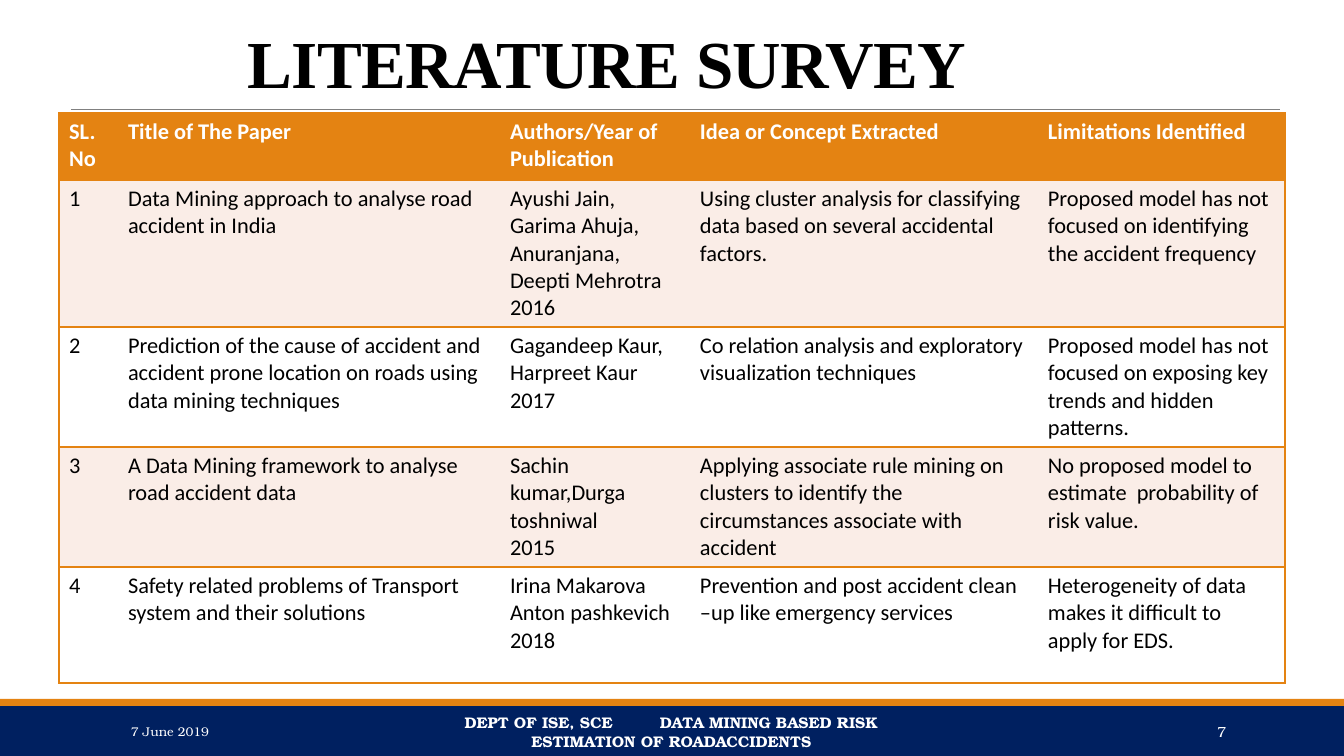
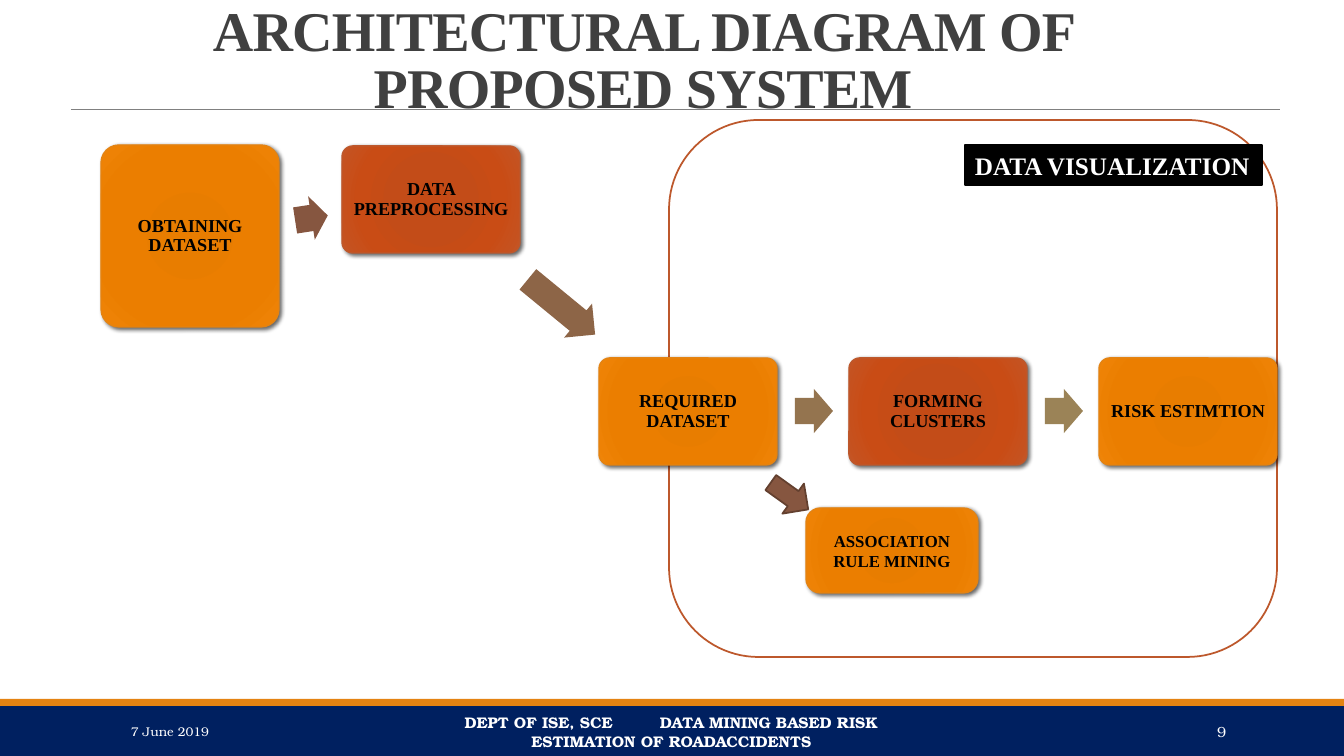
from dataclasses import dataclass

import lxml.etree
import pptx
import pptx.dml.color
import pptx.enum.shapes
import pptx.enum.text
import pptx.oxml.ns
import pptx.util

RGB = pptx.dml.color.RGBColor
Pt = pptx.util.Pt
Kind = pptx.enum.shapes.MSO_SHAPE
Align = pptx.enum.text.PP_ALIGN
Anchor = pptx.enum.text.MSO_ANCHOR
Fit = pptx.enum.text.MSO_AUTO_SIZE
qn = pptx.oxml.ns.qn

NAVY = RGB(0x00, 0x20, 0x60)
ORANGE = RGB(0xE4, 0x83, 0x12)
RUST = RGB(0xBD, 0x58, 0x2C)
BROWN = RGB(0x86, 0x56, 0x40)
UMBER = RGB(0x63, 0x40, 0x2F)
COCOA = RGB(0x8D, 0x65, 0x47)
TAN = RGB(0x94, 0x74, 0x4F)
OLIVE = RGB(0x9B, 0x83, 0x57)
PINK = RGB(0xFA, 0xED, 0xE7)
GRAY = RGB(0x80, 0x80, 0x80)
DARK = RGB(0x40, 0x40, 0x40)
BLACK = RGB(0, 0, 0)
WHITE = RGB(0xFF, 0xFF, 0xFF)

SERIF = "Times New Roman"
SANS = "Calibri"
BOOK = "TeX Gyre Bonum"
SCALE = 914400 / 100.8
WIDE, HIGH = 1344, 756
STOPS = (0, 34, 70, 100)
GLOW = {
    ORANGE: ("E57B00", "E87D00", "EB7E00", "EF8407"),
    RUST: ("C44A15", "C34C18", "C94C15", "C45525"),
}


@dataclass(frozen=True)
class Rect:
    x: int
    y: int
    w: int
    h: int

    def emu(self) -> list[int]:
        return [px(n) for n in (self.x, self.y, self.w, self.h)]


@dataclass(frozen=True)
class Type:
    face: str
    size: float
    color: RGB
    bold: bool = False
    align: Align = Align.LEFT
    lead: float = 1.0


@dataclass(frozen=True)
class Step:
    text: str
    rect: Rect
    color: RGB
    round: float = 0.1
    inset: int = 5
    size: int = 13
    lead: float = 0.9


@dataclass(frozen=True)
class Arrow:
    rect: Rect
    color: RGB
    turn: float = 0


DATE = Type(BOOK, 9, WHITE)
FOOT = Type(BOOK, 11, WHITE, True, Align.CENTER)
PAGE = Type(BOOK, 10.5, WHITE, align=Align.RIGHT)
HEAD = Type(SANS, 16, WHITE, True)
BODY = Type(SANS, 16, BLACK)
LABEL = Type(SERIF, 18, WHITE, True)

COLS = (59, 382, 190, 348, 247)
ROWS = (67, 147, 120, 120, 116)
PAPERS = (
    ("SL.No", "Title of The Paper", "Authors/Year of Publication",
     "Idea or Concept Extracted", "Limitations Identified"),
    ("1", "Data Mining approach to analyse road accident in India",
     "Ayushi Jain,\nGaruma Ahuja,\nAnuranjana, Deepti Mehrotra\n2016".replace("Garuma", "Garima"),
     "Using cluster analysis for classifying data based on several accidental factors.",
     "Proposed model has not focused on identifying the accident frequency"),
    ("2", "Prediction of the cause of accident and accident prone location "
     "on roads using data mining techniques",
     "Gagandeep Kaur,\nHarpreet Kaur\n2017",
     "Co relation analysis and exploratory visualization techniques",
     "Proposed model has not focused on exposing key trends and hidden patterns."),
    ("3", "A Data Mining framework to analyse road accident data",
     "Sachin kumar,Durga toshniwal\n2015",
     "Applying associate rule mining on\n"
     "clusters to identify the circumstances associate with\naccident",
     "No proposed model to estimate  probability of risk value."),
    ("4", "Safety related problems of Transport system and their solutions",
     "Irina Makarova\nAnton pashkevich\n2018",
     "Prevention and post accident clean –up like emergency services",
     "Heterogeneity of data makes it difficult to apply for EDS."),
)

LEFT, PITCH = 599, 250
CHAIN = (("REQUIRED DATASET", ORANGE), ("FORMING CLUSTERS", RUST),
         ("RISK ESTIMTION", ORANGE))
STEPS = (
    Step("OBTAINING DATASET", Rect(101, 145, 178, 182), ORANGE),
    Step("DATA PREPROCESSING", Rect(342, 146, 178, 107), RUST),
    *(Step(text, Rect(LEFT + i * PITCH, 358, 178, 107), color)
      for i, (text, color) in enumerate(CHAIN)),
    Step("ASSOCIATION RULE MINING", Rect(806, 508, 172, 85), ORANGE,
         0.17, 10, 12, 1.0),
)
ARROWS = (
    Arrow(Rect(295, 196, 33, 44), BROWN, 351.3),
    Arrow(Rect(518, 285, 87, 44), COCOA, 39.4),
    *(Arrow(Rect(LEFT + 196 + i * PITCH, 389, 38, 44), color)
      for i, color in enumerate((TAN, OLIVE))),
)


def px(n: float) -> int:
    return round(n * SCALE)


def add(parent, tag: str, **attrs):
    return lxml.etree.SubElement(parent, qn(tag), {k: str(v) for k, v in attrs.items()})


def style(frame, kind: Type) -> None:
    for para in frame.paragraphs:
        para.alignment = kind.align
        para.line_spacing = kind.lead
        font = para.font
        font.name, font.size, font.bold = kind.face, Pt(kind.size), kind.bold
        font.color.rgb = kind.color


def shape(slide, kind: Kind, rect: Rect, fill: RGB, line: RGB | None = None,
          width: float = 1.25):
    item = slide.shapes.add_shape(kind, *rect.emu())
    item.shadow.inherit = False
    item.fill.solid()
    item.fill.fore_color.rgb = fill
    if line is None:
        item.line.fill.background()
    else:
        item.line.color.rgb = line
        item.line.width = Pt(width)
    return item


def write(slide, text: str, rect: Rect, kind: Type) -> None:
    frame = slide.shapes.add_textbox(*rect.emu()).text_frame
    frame.word_wrap = True
    frame.vertical_anchor = Anchor.MIDDLE
    frame.text = text
    style(frame, kind)


def shade(item, color: RGB) -> None:
    item.fill.gradient()
    grad = item.element.spPr.find(qn("a:gradFill"))
    for child in list(grad):
        grad.remove(child)
    stops = add(grad, "a:gsLst")
    for pos, tone in zip(STOPS, GLOW[color]):
        add(add(stops, "a:gs", pos=pos * 1000), "a:srgbClr", val=tone)
    ring = add(grad, "a:path", path="circle")
    add(ring, "a:fillToRect", l=100000, t=100000, r=100000, b=100000)
    effect = item.element.spPr.find(qn("a:effectLst"))
    cast = add(effect, "a:outerShdw", blurRad=Pt(3), dist=Pt(2), dir=45 * 60000,
               rotWithShape=0)
    add(add(cast, "a:srgbClr", val="000000"), "a:alpha", val=60000)


def draw_step(slide, step: Step) -> None:
    item = shape(slide, Kind.ROUNDED_RECTANGLE, step.rect, step.color, step.color, 1)
    item.adjustments[0] = step.round
    shade(item, step.color)
    frame = item.text_frame
    frame.word_wrap = True
    frame.vertical_anchor = Anchor.MIDDLE
    frame.margin_left = frame.margin_right = px(step.inset)
    frame.margin_top = frame.margin_bottom = px(5)
    frame.text = step.text
    style(frame, Type(SERIF, step.size, BLACK, True, Align.CENTER, step.lead))


def draw_arrow(slide, arrow: Arrow) -> None:
    item = shape(slide, Kind.RIGHT_ARROW, arrow.rect, arrow.color)
    item.adjustments[0], item.adjustments[1] = 0.6, 0.5
    item.rotation = arrow.turn


def set_frame(layout, slide) -> None:
    for holder in list(layout.placeholders)[1:]:
        holder.element.getparent().remove(holder.element)
    start = len(slide.shapes)
    shape(slide, Kind.RECTANGLE, Rect(0, 706, WIDE, 50), NAVY)
    shape(slide, Kind.RECTANGLE, Rect(0, 699, WIDE, 7), ORANGE)
    rule = slide.shapes.add_connector(
        pptx.enum.shapes.MSO_CONNECTOR.STRAIGHT, px(71), px(109), px(1280), px(109))
    rule.line.color.rgb = GRAY
    rule.line.width = Pt(0.5)
    add(rule.element.spPr, "a:effectLst")
    write(slide, "7 June 2019", Rect(121, 712, 272, 40), DATE)
    write(slide, "DEPT OF ISE, SCE         DATA MINING BASED RISK "
          "ESTIMATION OF ROADACCIDENTS", Rect(406, 712, 531, 40), FOOT)
    for item in list(slide.shapes)[start:]:
        layout.shapes.element.append(item.element)


def set_title(slide, text: str, rect: Rect, size: int, color: RGB) -> None:
    title = slide.shapes.title
    title.left, title.top, title.width, title.height = rect.emu()
    frame = title.text_frame
    frame.text = text
    frame.word_wrap = True
    frame.auto_size = Fit.NONE
    frame.vertical_anchor = Anchor.BOTTOM
    style(frame, Type(SERIF, size, color, True, Align.CENTER, 0.85))
    for node in title.element.iter(qn("a:defRPr")):
        node.set("spc", "-50")


def edge(cell, first: bool, last: bool) -> None:
    props = cell._tc.get_or_add_tcPr()
    for side, shown in (("L", first), ("R", last), ("T", True), ("B", True)):
        line = add(props, f"a:ln{side}", w=Pt(1))
        if shown:
            add(add(line, "a:solidFill"), "a:srgbClr", val=ORANGE)
        else:
            add(line, "a:noFill")


def draw_table(slide) -> None:
    rect = Rect(59, 113, sum(COLS), sum(ROWS))
    table = slide.shapes.add_table(len(ROWS), len(COLS), *rect.emu()).table
    table.first_row = table.horz_banding = False
    for col, width in zip(table.columns, COLS):
        col.width = px(width)
    for r, (row, height) in enumerate(zip(table.rows, ROWS)):
        row.height = px(height)
        fill = ORANGE if r == 0 else (WHITE, PINK)[r % 2]
        for c, cell in enumerate(row.cells):
            cell.text = PAPERS[r][c]
            style(cell.text_frame, BODY if r else HEAD)
            edge(cell, c == 0, c == len(COLS) - 1)
            cell.fill.solid()
            cell.fill.fore_color.rgb = fill


def draw_flow(slide) -> None:
    shape(slide, Kind.ROUNDED_RECTANGLE, Rect(669, 120, 608, 537), WHITE, RUST)
    for step in STEPS[:-1]:
        draw_step(slide, step)
    for arrow in ARROWS:
        draw_arrow(slide, arrow)
    branch = shape(slide, Kind.DOWN_ARROW, Rect(771, 473, 37, 46), BROWN, UMBER)
    branch.rotation = 305.6
    draw_step(slide, STEPS[-1])
    label = shape(slide, Kind.RECTANGLE, Rect(965, 145, 297, 40), BLACK, BLACK)
    frame = label.text_frame
    frame.word_wrap = False
    frame.auto_size = Fit.SHAPE_TO_FIT_TEXT
    frame.vertical_anchor = Anchor.TOP
    frame.text = "DATA VISUALIZATION"
    style(frame, LABEL)


def main() -> None:
    deck = pptx.Presentation()
    deck.slide_width, deck.slide_height = px(WIDE), px(HIGH)
    layout = deck.slide_layouts[5]
    survey, design = (deck.slides.add_slide(layout) for _ in range(2))
    set_frame(layout, survey)
    set_title(survey, "LITERATURE SURVEY", Rect(74, 27, 1066, 80), 48, BLACK)
    draw_table(survey)
    set_title(design, "ARCHITECTURAL DIAGRAM OF PROPOSED SYSTEM",
              Rect(110, 45, 1066, 80), 40, DARK)
    draw_flow(design)
    for slide, page in ((survey, "7"), (design, "9")):
        write(slide, page, Rect(1092, 712, 144, 40), PAGE)
    deck.save("out.pptx")


if __name__ == "__main__":
    main()
